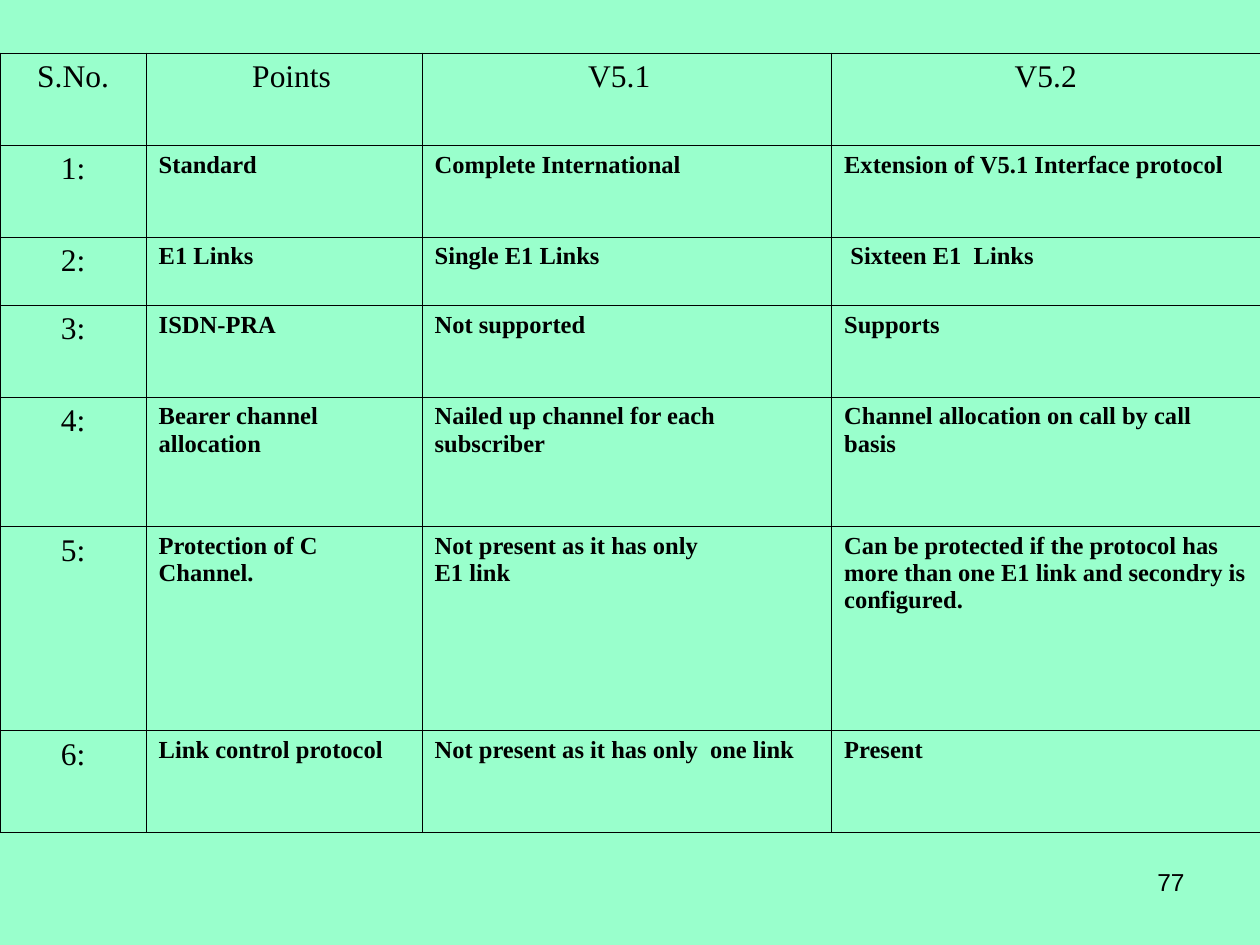
from lxml.etree import SubElement
from pptx import Presentation
from pptx.dml.color import RGBColor
from pptx.enum.text import PP_ALIGN as Align
from pptx.oxml.ns import qn
from pptx.util import Inches, Pt

MINT = RGBColor(0x99, 0xFF, 0xCC)
BLACK = RGBColor(0, 0, 0)

COLUMN_WIDTHS = [1.16, 2.19, 3.25, 3.4]
ROW_HEIGHTS = [0.73, 0.73, 0.54, 0.73, 1.03, 1.62, 0.81]
HEADERS = ["S.No.", "Points", "V5.1", "V5.2"]
COMPARISON = [
    ["Standard", "Complete International", "Extension of V5.1 Interface protocol"],
    ["E1 Links", "Single E1 Links", "Sixteen E1  Links"],
    ["ISDN-PRA", "Not supported", "Supports"],
    ["Bearer channel allocation", "Nailed up channel for each subscriber",
     "Channel allocation on call by call basis"],
    ["Protection of C\nChannel.", "Not present as it has only\nE1 link",
     "Can be protected if the protocol has more than one E1 link "
     "and secondry is configured."],
    ["Link control protocol", "Not present as it has only  one link", "Present"],
]


class SlideBuilder:
    """Holds the shared style and the current slide."""

    table_font = "Times New Roman"
    number_font = "Arial"
    border_width = Pt(0.45)

    def __init__(self, prs):
        self.s = prs.slides.add_slide(prs.slide_layouts[6])
        self.s.background.fill.solid()
        self.s.background.fill.fore_color.rgb = MINT

    def set_text(self, tf, text, font, size, bold=False, align=Align.LEFT):
        tf.word_wrap = True
        tf.text = text
        for p in tf.paragraphs:
            p.alignment = align
            p.font.name = font
            p.font.size = Pt(size)
            p.font.bold = bold
            p.font.color.rgb = BLACK

    def border(self, cell):
        tc_pr = cell._tc.get_or_add_tcPr()
        for side in ("a:lnL", "a:lnR", "a:lnT", "a:lnB"):
            ln = SubElement(tc_pr, qn(side), w=str(self.border_width))
            fill = SubElement(ln, qn("a:solidFill"))
            SubElement(fill, qn("a:srgbClr"), val=str(BLACK))

    def table(self, rows, left, top, widths, heights):
        frame = self.s.shapes.add_table(
            len(rows), len(widths), Inches(left), Inches(top),
            Inches(sum(widths)), Inches(sum(heights)))
        table = frame.table
        table.first_row = table.horz_banding = False
        for column, width in zip(table.columns, widths):
            column.width = Inches(width)
        for row, height in zip(table.rows, heights):
            row.height = Inches(height)
        for i, texts in enumerate(rows):
            for j, text in enumerate(texts):
                cell = table.cell(i, j)
                self.border(cell)
                cell.fill.background()
                # Headers and serial numbers are large and centred
                if i == 0 or j == 0:
                    self.set_text(cell.text_frame, text, self.table_font, 18,
                                  align=Align.CENTER)
                else:
                    self.set_text(cell.text_frame, text, self.table_font, 14,
                                  bold=True)
        return table

    def page_number(self, text, left, top, width, height):
        box = self.s.shapes.add_textbox(
            Inches(left), Inches(top), Inches(width), Inches(height))
        self.set_text(box.text_frame, text, self.number_font, 14,
                      align=Align.RIGHT)


def main():
    prs = Presentation()
    prs.slide_width, prs.slide_height = Inches(10), Inches(7.5)
    slide = SlideBuilder(prs)

    # Comparison of the two interfaces
    numbered = [[f"{n}:", *texts] for n, texts in enumerate(COMPARISON, 1)]
    table = slide.table([HEADERS, *numbered], 0, 0.42,
                        COLUMN_WIDTHS, ROW_HEIGHTS)

    # Small sideways shifts of single cells
    table.cell(0, 1).margin_left = Inches(0.22)
    table.cell(0, 2).margin_right = Inches(0.22)
    table.cell(2, 3).margin_left = Inches(0.15)

    # Page number
    slide.page_number("77", 7.17, 6.83, 2.33, 0.52)

    prs.save("out.pptx")


if __name__ == "__main__":
    main()
